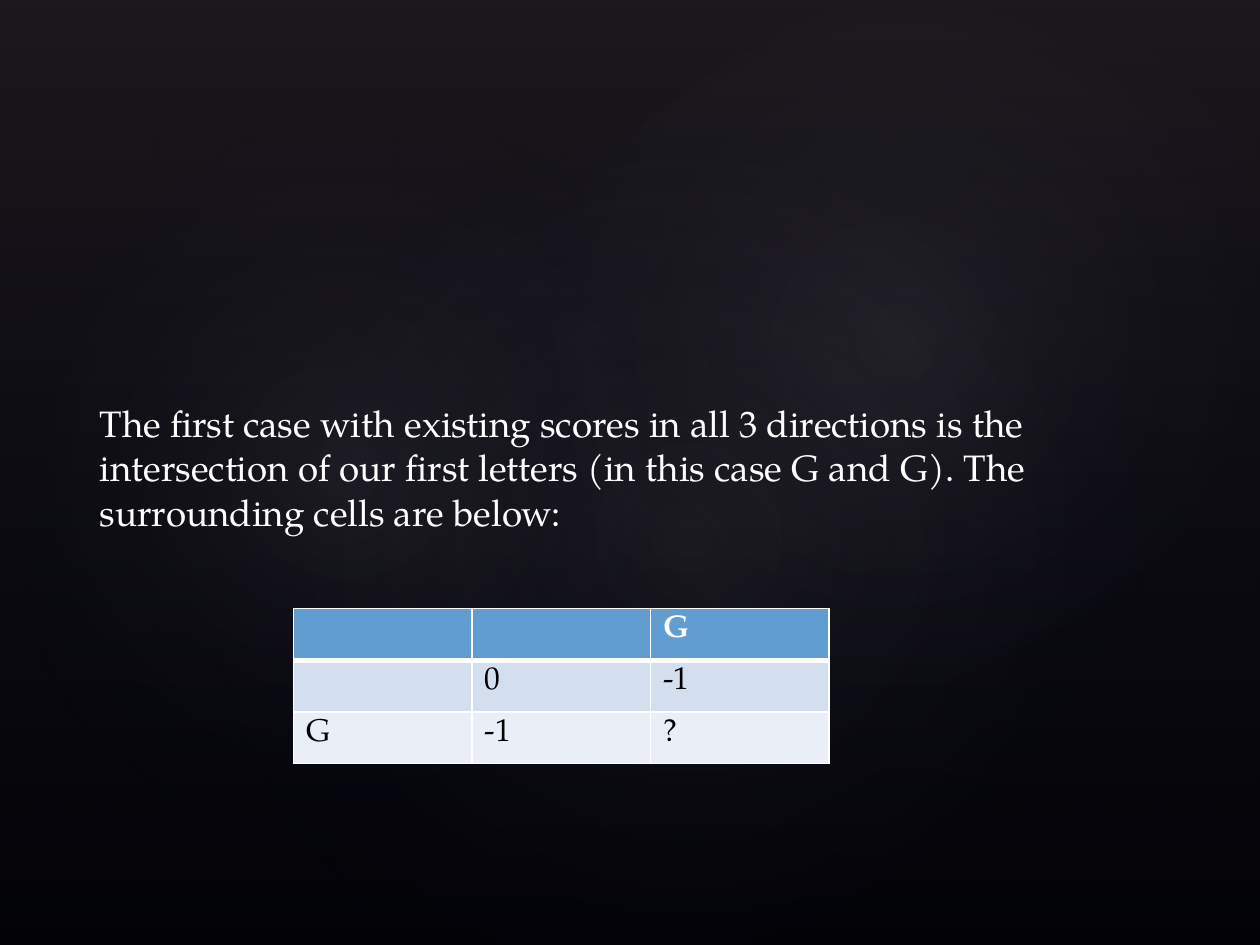
import lxml.etree
import pptx
import pptx.dml.color
import pptx.enum.shapes
import pptx.enum.text
import pptx.oxml
import pptx.oxml.ns
import pptx.util

WIDTH, HEIGHT = 10, 7.5
FONT = "TeX Gyre Pagella"
COLORS = {
    "black": "000000",
    "white": "FFFFFF",
    "haze": "504652",
    "navy": "242852",
    "glow": "C4BCC6",
    "header": "629DD1",
    "band": "D3DFEE",
    "plain": "EAEFF7",
}
LINEAR = '<a:lin ang="5400000" scaled="0"/>'
CIRCULAR = '<a:path path="circle"><a:fillToRect l="50000" t="50000" r="50000" b="50000"/></a:path>'
GLOWS = [
    ((0.15, 0.152, 0.792, 0.832), 328.7, 7),
    ((-0.03, 0.171, 0.606, 0.653), 294.3, 8),
    ((0.358, 0.017, 0.709, 0.693), 328.7, 8),
]
STATEMENT = (
    "The first case with existing scores in all 3 directions is the intersection "
    "of our first letters (in this case G and G). The surrounding cells are below:"
)
SCORES = [["", "", "G"], ["", "0", "-1"], ["G", "-1", "?"]]


def color(name):
    return pptx.dml.color.RGBColor.from_string(COLORS[name])


def place(box):
    left, top, width, height = box
    return [
        pptx.util.Inches(share * side)
        for share, side in ((left, WIDTH), (top, HEIGHT), (width, WIDTH), (height, HEIGHT))
    ]


def style(para, size, name, bold=False):
    para.font.name = FONT
    para.font.size = pptx.util.Pt(size)
    para.font.bold = bold
    para.font.color.rgb = color(name)


def add_gradient_shape(page, kind, box, stops, direction, rotation=0):
    shape = page.shapes.add_shape(kind, *place(box))
    shape.shadow.inherit = False
    shape.rotation = rotation
    shape.line.fill.background()
    stop_xml = "".join(
        f'<a:gs pos="{position * 1000}"><a:srgbClr val="{COLORS[name]}">'
        f'<a:alpha val="{alpha * 1000}"/></a:srgbClr></a:gs>'
        for position, name, alpha in stops
    )
    gradient = pptx.oxml.parse_xml(
        f'<a:gradFill {pptx.oxml.ns.nsdecls("a")} rotWithShape="1">'
        f"<a:gsLst>{stop_xml}</a:gsLst>{direction}</a:gradFill>"
    )
    shape.element.spPr.find(pptx.oxml.ns.qn("a:prstGeom")).addnext(gradient)


def add_backdrop(page, box):
    page.background.fill.solid()
    page.background.fill.fore_color.rgb = color("black")
    shapes = pptx.enum.shapes.MSO_SHAPE
    add_gradient_shape(
        page, shapes.RECTANGLE, box, [(0, "haze", 36), (100, "navy", 10)], LINEAR
    )
    left, top, width, height = box
    for (x, y, across, down), rotation, alpha in GLOWS:
        area = (left + x * width, top + y * height, across * width, down * height)
        stops = [(0, "glow", alpha), (58, "navy", 0), (100, "navy", 0)]
        add_gradient_shape(page, shapes.OVAL, area, stops, CIRCULAR, rotation)


def add_statement(page, box):
    frame = page.shapes.add_textbox(*place(box)).text_frame
    frame.word_wrap = True
    frame.vertical_anchor = pptx.enum.text.MSO_ANCHOR.MIDDLE
    frame.margin_left = pptx.util.Inches(0.12)
    para = frame.paragraphs[0]
    para.text = STATEMENT
    style(para, 21, "white")


def add_borders(cell, bottom_width):
    properties = cell._tc.get_or_add_tcPr()
    widths = {"lnL": 1, "lnR": 1, "lnT": 1, "lnB": bottom_width}
    for index, (side, points) in enumerate(widths.items()):
        border = pptx.oxml.parse_xml(
            f'<a:{side} {pptx.oxml.ns.nsdecls("a")} w="{pptx.util.Pt(points)}">'
            f'<a:solidFill><a:srgbClr val="{COLORS["white"]}"/></a:solidFill></a:{side}>'
        )
        properties.insert(index, border)


def add_score_table(page, box):
    table = page.shapes.add_table(len(SCORES), len(SCORES[0]), *place(box)).table
    for row, (values, fill) in enumerate(zip(SCORES, ("header", "band", "plain"))):
        is_header = row == 0
        for column, value in enumerate(values):
            cell = table.cell(row, column)
            cell.fill.solid()
            cell.fill.fore_color.rgb = color(fill)
            add_borders(cell, 3 if is_header else 1)
            para = cell.text_frame.paragraphs[0]
            para.text = value
            style(para, 18, "white" if is_header else "black", is_header)


def main():
    deck = pptx.Presentation()
    deck.slide_width = pptx.util.Inches(WIDTH)
    deck.slide_height = pptx.util.Inches(HEIGHT)
    page = deck.slides.add_slide(deck.slide_layouts[6])
    add_backdrop(page, (0, 0, 1, 1))
    add_statement(page, (0.067, 0.089, 0.85, 0.811))
    add_score_table(page, (0.233, 0.644, 0.425, 0.164))
    deck.save("out.pptx")


if __name__ == "__main__":
    main()
